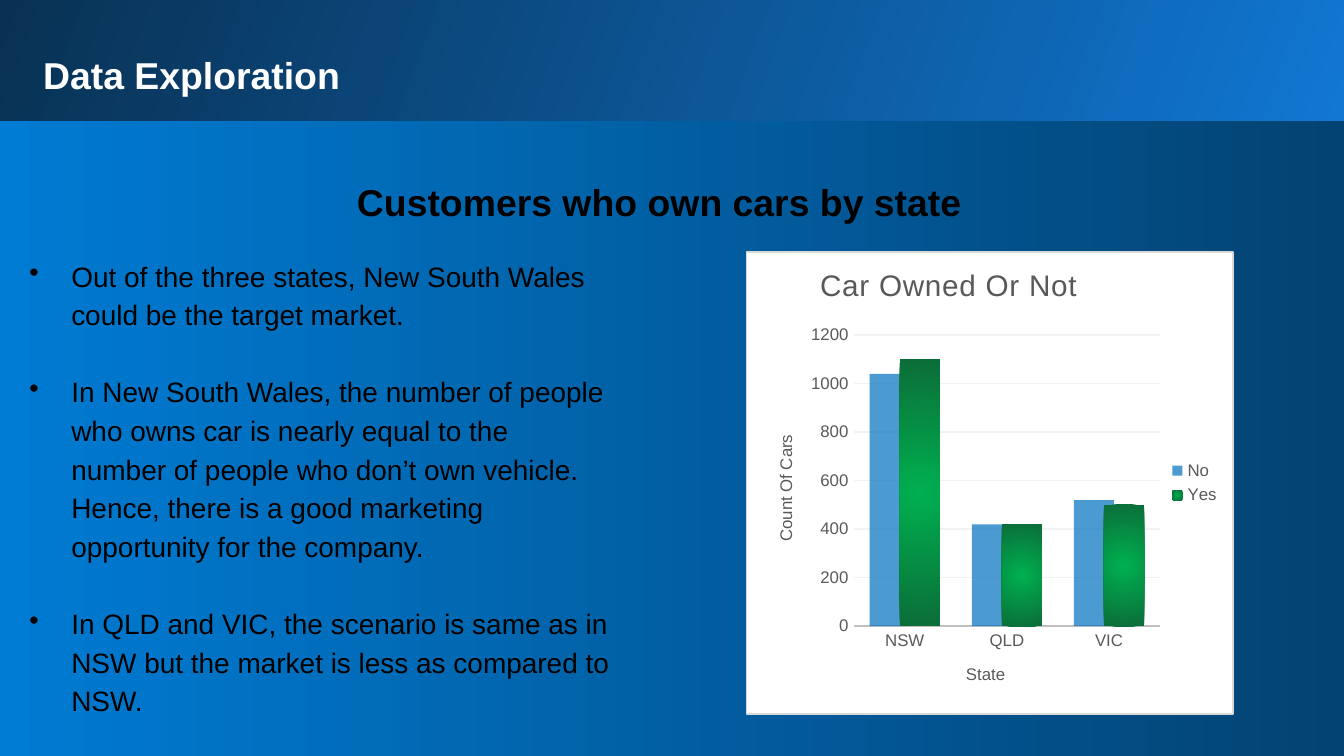
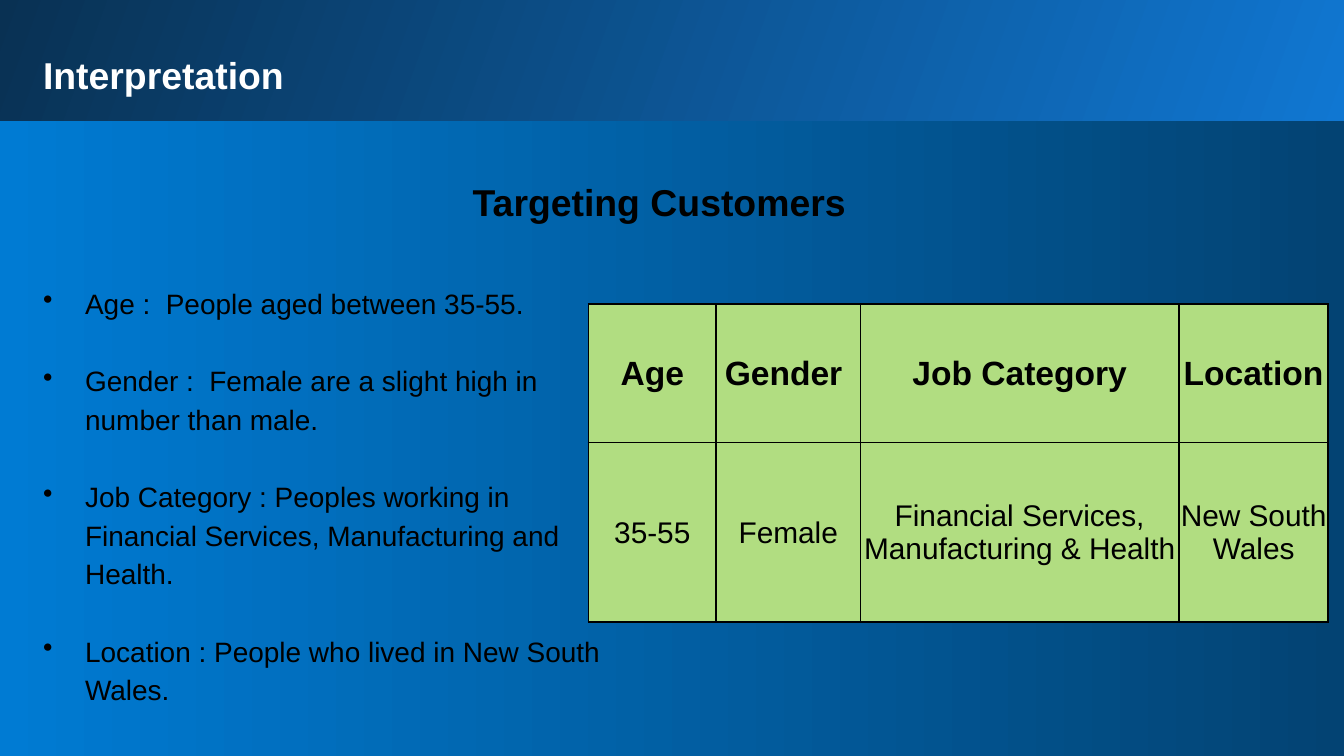
from lxml import etree
from pptx import Presentation
from pptx.chart.data import CategoryChartData
from pptx.dml.color import RGBColor
from pptx.enum.chart import XL_CHART_TYPE, XL_LEGEND_POSITION, XL_TICK_MARK
from pptx.enum.shapes import MSO_SHAPE
from pptx.enum.text import MSO_ANCHOR, PP_ALIGN
from pptx.oxml import parse_xml
from pptx.oxml.ns import nsdecls, qn
from pptx.util import Pt

COLUMN_CLUSTERED = XL_CHART_TYPE.COLUMN_CLUSTERED
LEGEND_RIGHT = XL_LEGEND_POSITION.RIGHT
NO_TICKS = XL_TICK_MARK.NONE
RECTANGLE = MSO_SHAPE.RECTANGLE
MIDDLE = MSO_ANCHOR.MIDDLE
LEFT, CENTER = PP_ALIGN.LEFT, PP_ALIGN.CENTER

FONT = "Arial"
BLACK = RGBColor(0x00, 0x00, 0x00)
WHITE = RGBColor(0xFF, 0xFF, 0xFF)
PAGE_BLUE = RGBColor(0x00, 0x7B, 0xD3)
PAGE_NAVY = RGBColor(0x03, 0x43, 0x73)
BAND_BLUE = RGBColor(0x10, 0x77, 0xD2)
BAND_NAVY = RGBColor(0x09, 0x31, 0x53)
CELL_GREEN = RGBColor(0xB1, 0xDD, 0x81)
CHART_GRAY = RGBColor(0x59, 0x59, 0x59)
AXIS_GRAY = RGBColor(0xBF, 0xBF, 0xBF)
BORDER_GRAY = RGBColor(0xD9, 0xD9, 0xD9)
GRID_GRAY = RGBColor(0xF2, 0xF2, 0xF2)
BAR_BLUE = RGBColor(0x00, 0x70, 0xC0)
BAR_GREEN = RGBColor(0x00, 0xB0, 0x50)
BAR_DARK_GREEN = RGBColor(0x0B, 0x6E, 0x38)

INSET = 7.2
LINE_SPACING = 1.15
BULLET_INDENT = 22.5
BULLET_GAP = 20.7

MARKET_POINTS = [
    "Out of the three states, New South Wales could be the target market.",
    "In New South Wales, the number of people who owns car is nearly equal to the "
    "number of people who don’t own vehicle. Hence, there is a good marketing "
    "opportunity for the company.",
    "In QLD and VIC, the scenario is same as in NSW but the market is less as "
    "compared to NSW.",
]
TARGET_POINTS = [
    "Age :  People aged between 35-55.",
    "Gender :  Female are a slight high in number than male.",
    "Job Category : Peoples working in Financial Services, Manufacturing and Health.",
    "Location : People who lived in New South Wales.",
]
TARGET_TABLE = [
    ["Age", "Gender ", "Job Category", "Location"],
    ["35-55", "Female", "Financial Services, Manufacturing & Health", "New South Wales"],
]
STATES = ["NSW", "QLD", "VIC"]
CAR_COUNTS = {"No": [1040, 420, 520], "Yes": [1100, 420, 500]}


# Shared styling
def style_font(font, size, color, bold=False):
    font.name = FONT
    font.size = Pt(size)
    font.bold = bold
    font.color.rgb = color


def add_run(paragraph, text, size, color, bold=False):
    run = paragraph.add_run()
    run.text = text
    style_font(run.font, size, color, bold)
    return run


def fill_gradient(fill, first, last, angle):
    fill.gradient()
    fill.gradient_angle = angle
    for stop, color, position in zip(fill.gradient_stops, (first, last), (0, 1)):
        stop.color.rgb = color
        stop.position = position


# Text
def add_text_frame(slide, left, top, width, height):
    text_frame = slide.shapes.add_textbox(Pt(left), Pt(top), Pt(width), Pt(height)).text_frame
    text_frame.word_wrap = True
    text_frame.margin_left = text_frame.margin_right = Pt(INSET)
    text_frame.margin_top = text_frame.margin_bottom = Pt(INSET)
    return text_frame


def add_heading(slide, text, top, height, color, alignment, spacing):
    paragraph = add_text_frame(slide, 16, top, 674.5, height).paragraphs[0]
    paragraph.alignment = alignment
    paragraph.line_spacing = spacing
    add_run(paragraph, text, 20, color, bold=True)


def add_bullets(slide, points, left, top, height):
    text_frame = add_text_frame(slide, left, top, 325.5, height)
    for index, point in enumerate(points):
        paragraph = text_frame.add_paragraph() if index else text_frame.paragraphs[0]
        paragraph.line_spacing = LINE_SPACING
        if index:
            paragraph.space_before = Pt(BULLET_GAP)
        properties = paragraph._p.get_or_add_pPr()
        properties.set("marL", str(Pt(BULLET_INDENT)))
        properties.set("indent", str(-Pt(BULLET_INDENT)))
        etree.SubElement(properties, qn("a:buChar")).set("char", "•")
        add_run(paragraph, point, 15, BLACK)


def add_page(presentation, title, subtitle):
    slide = presentation.slides.add_slide(presentation.slide_layouts[6])
    fill_gradient(slide.background.fill, PAGE_BLUE, PAGE_NAVY, 0)
    band = slide.shapes.add_shape(RECTANGLE, Pt(-1.5), Pt(-1.5), Pt(723.5), Pt(66.3))
    band.shadow.inherit = False
    band.line.fill.background()
    fill_gradient(band.fill, BAND_BLUE, BAND_NAVY, 160)
    add_heading(slide, title, 20.8, 37, WHITE, LEFT, 1.0)
    add_heading(slide, subtitle, 85, 42.5, BLACK, CENTER, LINE_SPACING)
    return slide


# Chart
def set_layout(element, index, **fractions):
    """Place a chart part by fractions of the chart area."""
    for old_layout in element.findall(qn("c:layout")):
        element.remove(old_layout)
    modes = '<c:xMode val="edge"/><c:yMode val="edge"/>'
    target = '<c:layoutTarget val="inner"/>' if "w" in fractions else ""
    values = "".join(f'<c:{key} val="{value}"/>' for key, value in fractions.items())
    element.insert(index, parse_xml(
        f'<c:layout {nsdecls("c")}><c:manualLayout>{target}{modes}{values}'
        "</c:manualLayout></c:layout>"))


def set_chart_area(chart):
    chart_space = chart._chartSpace
    chart_space.find(qn("c:chart")).addnext(parse_xml(
        f'<c:spPr {nsdecls("c", "a")}>'
        f'<a:solidFill><a:srgbClr val="{WHITE}"/></a:solidFill>'
        f'<a:ln w="{Pt(0.75)}"><a:solidFill><a:srgbClr val="{BORDER_GRAY}"/></a:solidFill></a:ln>'
        "</c:spPr>"))


def style_axis(axis, title):
    axis.major_tick_mark = axis.minor_tick_mark = NO_TICKS
    style_font(axis.tick_labels.font, 9, CHART_GRAY)
    add_run(axis.axis_title.text_frame.paragraphs[0], title, 9, CHART_GRAY)


def style_bars(plot):
    plot.vary_by_categories = False
    plot.gap_width = 80
    plot.overlap = 25
    owners_no, owners_yes = plot.series

    # Translucent blue
    fill = owners_no.format.fill
    fill.solid()
    fill.fore_color.rgb = BAR_BLUE
    color = owners_no._element.find(".//" + qn("a:srgbClr"))
    etree.SubElement(color, qn("a:alpha")).set("val", "70000")

    # Green, darker away from the centre
    fill_gradient(owners_yes.format.fill, BAR_GREEN, BAR_DARK_GREEN, 0)
    linear = owners_yes._element.find(".//" + qn("a:lin"))
    linear.getparent().replace(linear, parse_xml(
        f'<a:path {nsdecls("a")} path="circle">'
        '<a:fillToRect l="50000" t="50000" r="50000" b="50000"/></a:path>'))


def add_car_chart(slide):
    data = CategoryChartData()
    data.categories = STATES
    for name, counts in CAR_COUNTS.items():
        data.add_series(name, counts)
    chart = slide.shapes.add_chart(
        COLUMN_CLUSTERED, Pt(399.6), Pt(134.6), Pt(261.4), Pt(248.4), data).chart
    style_font(chart.font, 10, BLACK)
    set_chart_area(chart)

    chart.has_title = True
    title_run = add_run(chart.chart_title.text_frame.paragraphs[0],
                        "Car Owned Or Not", 16, CHART_GRAY)
    title_run._r.get_or_add_rPr().set("spc", "50")
    set_layout(chart.chart_title._element, 1, x=0.14, y=0.02)
    set_layout(chart._chartSpace.find(".//" + qn("c:plotArea")), 0,
               x=0.22, y=0.18, w=0.63, h=0.63)

    chart.has_legend = True
    chart.legend.position = LEGEND_RIGHT
    chart.legend.include_in_layout = False
    style_font(chart.legend.font, 9, CHART_GRAY)

    style_axis(chart.category_axis, "State")
    axis_line = chart.category_axis.format.line
    axis_line.color.rgb = AXIS_GRAY
    axis_line.width = Pt(1.25)

    value_axis = chart.value_axis
    style_axis(value_axis, "Count Of Cars")
    value_axis.minimum_scale, value_axis.maximum_scale = 0, 1200
    value_axis.major_unit = 200
    value_axis.format.line.fill.background()
    grid_line = value_axis.major_gridlines.format.line
    grid_line.color.rgb = GRID_GRAY
    grid_line.width = Pt(0.75)
    style_bars(chart.plots[0])


# Table
def set_borders(cell):
    properties = cell._tc.get_or_add_tcPr()
    for index, side in enumerate("LRTB"):
        properties.insert(index, parse_xml(
            f'<a:ln{side} {nsdecls("a")} w="{Pt(1)}"><a:solidFill>'
            f'<a:srgbClr val="{BLACK}"/></a:solidFill></a:ln{side}>'))


def fill_cell(cell, text, size, bold):
    cell.fill.solid()
    cell.fill.fore_color.rgb = CELL_GREEN
    set_borders(cell)
    cell.vertical_anchor = MIDDLE
    cell.margin_left = cell.margin_right = cell.margin_top = Pt(0.7)
    cell.margin_bottom = Pt(0)
    paragraph = cell.text_frame.paragraphs[0]
    paragraph.alignment = CENTER
    add_run(paragraph, text, size, BLACK, bold)


def add_target_table(slide):
    widths, heights = [68.5, 77.2, 170.8, 79.9], [74.2, 96.4]
    table = slide.shapes.add_table(
        len(heights), len(widths), Pt(315.2), Pt(162.8),
        Pt(sum(widths)), Pt(sum(heights))).table
    for column, width in zip(table.columns, widths):
        column.width = Pt(width)
    for row_index, height in enumerate(heights):
        table.rows[row_index].height = Pt(height)
        is_header = row_index == 0
        for column_index, text in enumerate(TARGET_TABLE[row_index]):
            fill_cell(table.cell(row_index, column_index), text,
                      18 if is_header else 16, is_header)


def main():
    presentation = Presentation()
    presentation.slide_width = Pt(720)
    presentation.slide_height = Pt(405)

    exploration = add_page(presentation, "Data Exploration", "Customers who own cars by state")
    add_bullets(exploration, MARKET_POINTS, 8.6, 128.9, 265)
    add_car_chart(exploration)

    interpretation = add_page(presentation, "Interpretation", "Targeting Customers")
    add_bullets(interpretation, TARGET_POINTS, 16, 143.6, 246.6)
    add_target_table(interpretation)

    presentation.save("out.pptx")


main()
